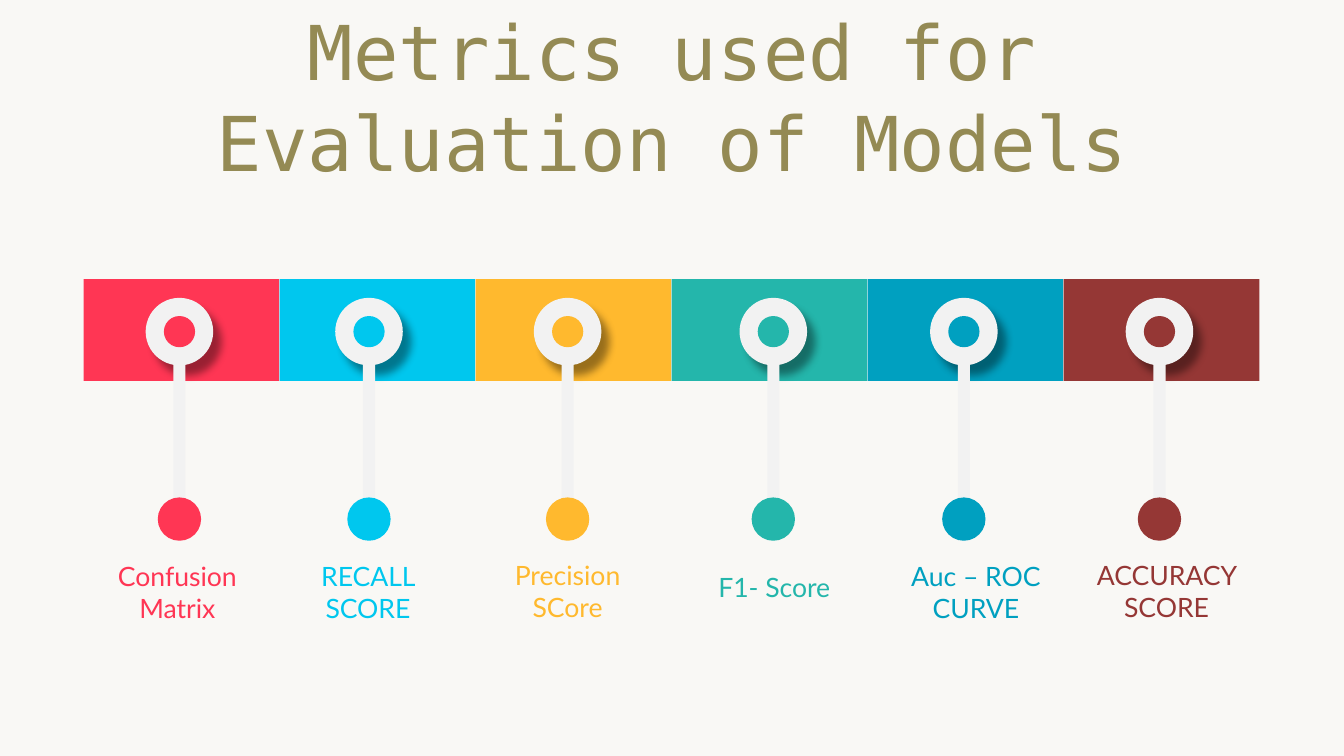
from dataclasses import dataclass

from lxml import etree
from pptx import Presentation
from pptx.dml.color import RGBColor
from pptx.enum.shapes import MSO_SHAPE
from pptx.enum.text import MSO_ANCHOR, MSO_AUTO_SIZE, PP_ALIGN
from pptx.oxml import parse_xml
from pptx.oxml.ns import nsdecls
from pptx.shapes.autoshape import Shape
from pptx.slide import Slide
from pptx.util import Inches, Pt

PAPER = RGBColor(0xF9, 0xF8, 0xF5)
OLIVE = RGBColor(0x94, 0x8A, 0x54)
PALE = RGBColor(0xF2, 0xF2, 0xF2)
RED = RGBColor(0xFF, 0x36, 0x54)
CYAN = RGBColor(0x00, 0xC7, 0xEE)
AMBER = RGBColor(0xFF, 0xB9, 0x2E)
TEAL = RGBColor(0x24, 0xB6, 0xAB)
BLUE = RGBColor(0x00, 0xA0, 0xC0)
MAROON = RGBColor(0x95, 0x37, 0x35)

BAND_LEFT, BAND_TOP, BAND_WIDTH, BAND_HEIGHT = 0.83, 2.77, 1.94, 1.01
BAND_PITCH = (10.55 - BAND_LEFT) / 5
RING_SIZE, CORE_SIZE, DOT_SIZE = 0.67, 0.31, 0.43
RING_MIDDLE, DOT_MIDDLE = 3.29, 5.15
STEM_TOP, STEM_WIDTH, STEM_HEIGHT = 3.49, 0.12, 1.56
LABEL_WIDTH = 1.5


@dataclass(frozen=True)
class Metric:
    label: str
    color: RGBColor
    pin_center: float
    label_left: float
    label_top: float = 5.55
    label_height: float = 0.64


METRICS = [
    Metric("Confusion Matrix", RED, 1.78, 1.01),
    Metric("RECALL SCORE", CYAN, 3.66, 2.9),
    Metric("Precision SCore", AMBER, 5.63, 4.88, 5.54),
    Metric("F1- Score", TEAL, 7.67, 6.93, 5.66, 0.32),
    Metric("Auc – ROC CURVE", BLUE, 9.56, 8.93),
    Metric("ACCURACY SCORE", MAROON, 11.5, 10.82, 5.54),
]


def add_filled(page: Slide, kind: MSO_SHAPE, left: float, top: float,
               width: float, height: float, color: RGBColor) -> Shape:
    shape = page.shapes.add_shape(
        kind, Inches(left), Inches(top), Inches(width), Inches(height))
    shape.shadow.inherit = False
    shape.fill.solid()
    shape.fill.fore_color.rgb = color
    shape.line.fill.background()
    return shape


def add_disc(page: Slide, center: float, middle: float, size: float,
             color: RGBColor) -> Shape:
    return add_filled(page, MSO_SHAPE.OVAL, center - size / 2,
                      middle - size / 2, size, size, color)


def add_drop_shadow(shape: Shape) -> None:
    effects = shape.element.spPr.find(
        "{http://schemas.openxmlformats.org/drawingml/2006/main}effectLst")
    shadow: etree.ElementBase = parse_xml(
        f'<a:outerShdw {nsdecls("a")} blurRad="{Pt(6)}" dist="{Pt(9)}" '
        f'dir="{50 * 60000}" algn="tl" rotWithShape="0">'
        '<a:srgbClr val="000000"><a:alpha val="40000"/></a:srgbClr>'
        '</a:outerShdw>')
    effects.append(shadow)


def add_text(page: Slide, text: str, left: float, top: float, width: float,
             height: float, font: str, size: int, color: RGBColor) -> Shape:
    box = page.shapes.add_textbox(
        Inches(left), Inches(top), Inches(width), Inches(height))
    frame = box.text_frame
    frame.word_wrap = True
    frame.auto_size = MSO_AUTO_SIZE.SHAPE_TO_FIT_TEXT
    para = frame.paragraphs[0]
    para.alignment = PP_ALIGN.CENTER
    span = para.add_run()
    span.text = text
    span.font.name = font
    span.font.size = Pt(size)
    span.font.color.rgb = color
    return box


def add_pin(page: Slide, metric: Metric) -> None:
    """Draw the ring, its core, the stem and the dot below."""
    center = metric.pin_center
    add_drop_shadow(add_disc(page, center, RING_MIDDLE, RING_SIZE, PALE))
    add_disc(page, center, RING_MIDDLE, CORE_SIZE, metric.color)
    add_filled(page, MSO_SHAPE.RECTANGLE, center - STEM_WIDTH / 2, STEM_TOP,
               STEM_WIDTH, STEM_HEIGHT, PALE)
    add_disc(page, center, DOT_MIDDLE, DOT_SIZE, metric.color)


def add_label(page: Slide, metric: Metric) -> None:
    box = add_text(page, metric.label, metric.label_left, metric.label_top,
                   LABEL_WIDTH, metric.label_height, "Lato", 19, metric.color)
    frame = box.text_frame
    frame.vertical_anchor = MSO_ANCHOR.MIDDLE
    frame.margin_left = frame.margin_right = Inches(0)
    frame.margin_top = frame.margin_bottom = Inches(0)
    frame.paragraphs[0].space_after = Pt(12)


def main() -> None:
    deck = Presentation()
    deck.slide_width, deck.slide_height = Inches(13.33), Inches(7.5)
    page = deck.slides.add_slide(deck.slide_layouts[6])
    page.background.fill.solid()
    page.background.fill.fore_color.rgb = PAPER

    add_text(page, "Metrics used for Evaluation of Models", 1.31, 0, 10.71,
             1.01, "DejaVu Sans Mono", 54, OLIVE)
    for index, metric in enumerate(METRICS):
        add_filled(page, MSO_SHAPE.RECTANGLE, BAND_LEFT + index * BAND_PITCH,
                   BAND_TOP, BAND_WIDTH, BAND_HEIGHT, metric.color)
        add_pin(page, metric)
        add_label(page, metric)
    deck.save("out.pptx")


if __name__ == "__main__":
    main()
